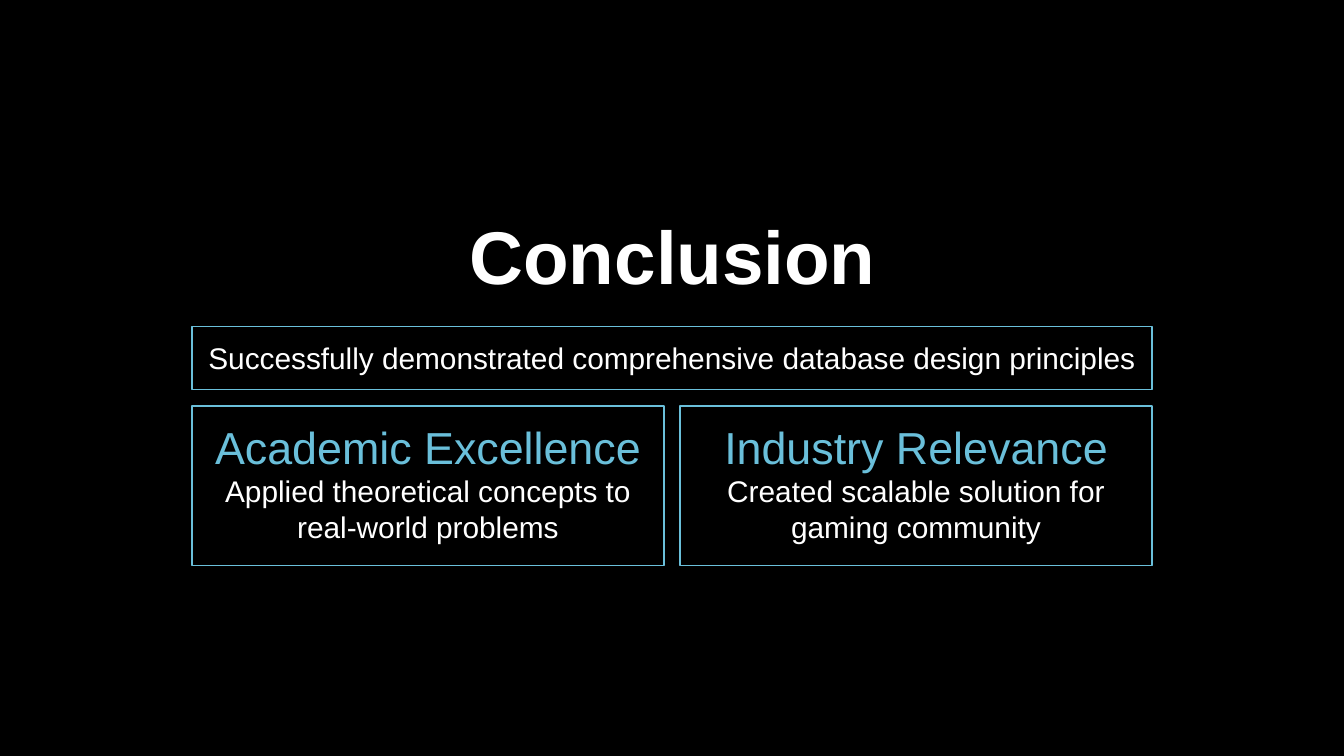
from dataclasses import dataclass

import pptx
import pptx.dml.color
import pptx.enum.shapes
import pptx.enum.text
import pptx.util

Inches = pptx.util.Inches
Pt = pptx.util.Pt

COLORS = {"background": "000000", "text": "FFFFFF", "accent": "6ABFDA"}
FRAME_FORMAT = {
    "margin_left": Inches(0.1),
    "margin_right": Inches(0.1),
    "margin_top": Inches(0.1),
    "margin_bottom": Inches(0.1),
    "word_wrap": True,
    "auto_size": pptx.enum.text.MSO_AUTO_SIZE.NONE,
    "vertical_anchor": pptx.enum.text.MSO_ANCHOR.TOP,
}
PARAGRAPH_FORMAT = {
    "alignment": pptx.enum.text.PP_ALIGN.CENTER,
    "line_spacing": 1.0,
    "space_before": Pt(0),
    "space_after": Pt(0),
}

SLIDE_WIDTH = 10
SLIDE_HEIGHT = SLIDE_WIDTH * 9 / 16
GRID_LEFT = SLIDE_WIDTH / 7
GRID_WIDTH = SLIDE_WIDTH - 2 * GRID_LEFT
GAP = 0.12
CARD_TOP, CARD_HEIGHT = 3.02, 1.19
CARD_WIDTH = (GRID_WIDTH - GAP) / 2


@dataclass(frozen=True)
class Line:
    text: str
    size: int
    color: str
    bold: bool = False


@dataclass(frozen=True)
class Panel:
    left: float
    top: float
    width: float
    height: float
    lines: tuple[Line, ...]


def rgb(name: str) -> pptx.dml.color.RGBColor:
    return pptx.dml.color.RGBColor.from_string(COLORS[name])


def apply_format(target, values: dict) -> None:
    for name, value in values.items():
        setattr(target, name, value)


def write_lines(frame, lines: tuple[Line, ...]) -> None:
    apply_format(frame, FRAME_FORMAT)
    for index, line in enumerate(lines):
        paragraph = frame.add_paragraph() if index else frame.paragraphs[0]
        apply_format(paragraph, PARAGRAPH_FORMAT)
        run = paragraph.add_run()
        run.text = line.text
        apply_format(run.font, {"name": "Arial", "size": Pt(line.size), "bold": line.bold})
        run.font.color.rgb = rgb(line.color)


def draw_panel(slide, panel: Panel) -> None:
    outline = slide.shapes.add_shape(
        pptx.enum.shapes.MSO_SHAPE.RECTANGLE,
        Inches(panel.left), Inches(panel.top), Inches(panel.width), Inches(panel.height),
    )
    outline.shadow.inherit = False
    outline.fill.background()
    outline.line.color.rgb = rgb("accent")
    outline.line.width = Pt(0.75)
    write_lines(outline.text_frame, panel.lines)


def main() -> None:
    deck = pptx.Presentation()
    apply_format(deck, {"slide_width": Inches(SLIDE_WIDTH), "slide_height": Inches(SLIDE_HEIGHT)})
    slide = deck.slides.add_slide(deck.slide_layouts[5])
    slide.background.fill.solid()
    slide.background.fill.fore_color.rgb = rgb("background")

    heading = slide.shapes.title
    apply_format(heading, {
        "left": Inches(3.09), "top": Inches(1.46),
        "width": Inches(3.83), "height": Inches(0.78),
    })
    write_lines(heading.text_frame, (Line("Conclusion", 40, "text", bold=True),))

    statement = Line("Successfully demonstrated comprehensive database design principles", 16, "text")
    draw_panel(slide, Panel(GRID_LEFT, 2.43, GRID_WIDTH, 0.47, (statement,)))

    outcomes = (
        ("Academic Excellence", "Applied theoretical concepts to real-world problems"),
        ("Industry Relevance", "Created scalable solution for gaming community"),
    )
    for column, (outcome, detail) in enumerate(outcomes):
        lines = (Line(outcome, 24, "accent"), Line(detail, 16, "text"))
        left = GRID_LEFT + column * (CARD_WIDTH + GAP)
        draw_panel(slide, Panel(left, CARD_TOP, CARD_WIDTH, CARD_HEIGHT, lines))

    deck.save("out.pptx")


if __name__ == "__main__":
    main()
